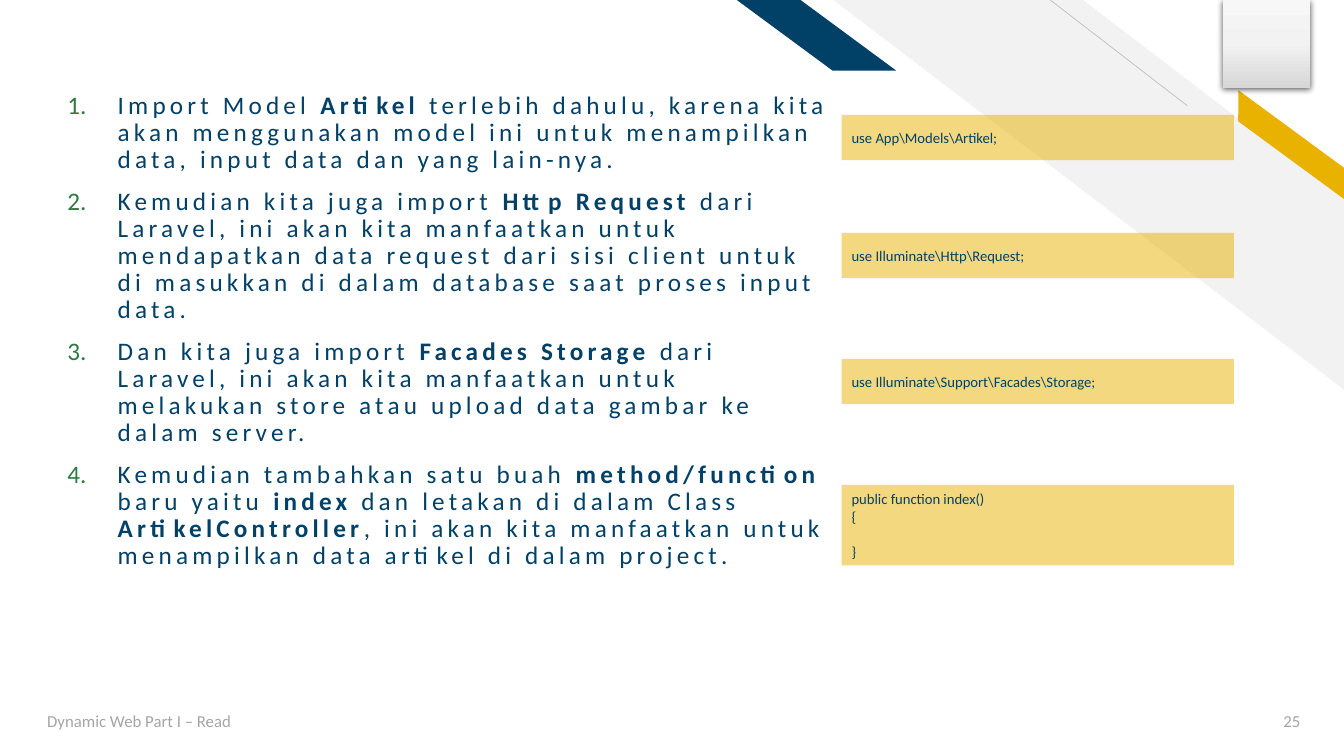
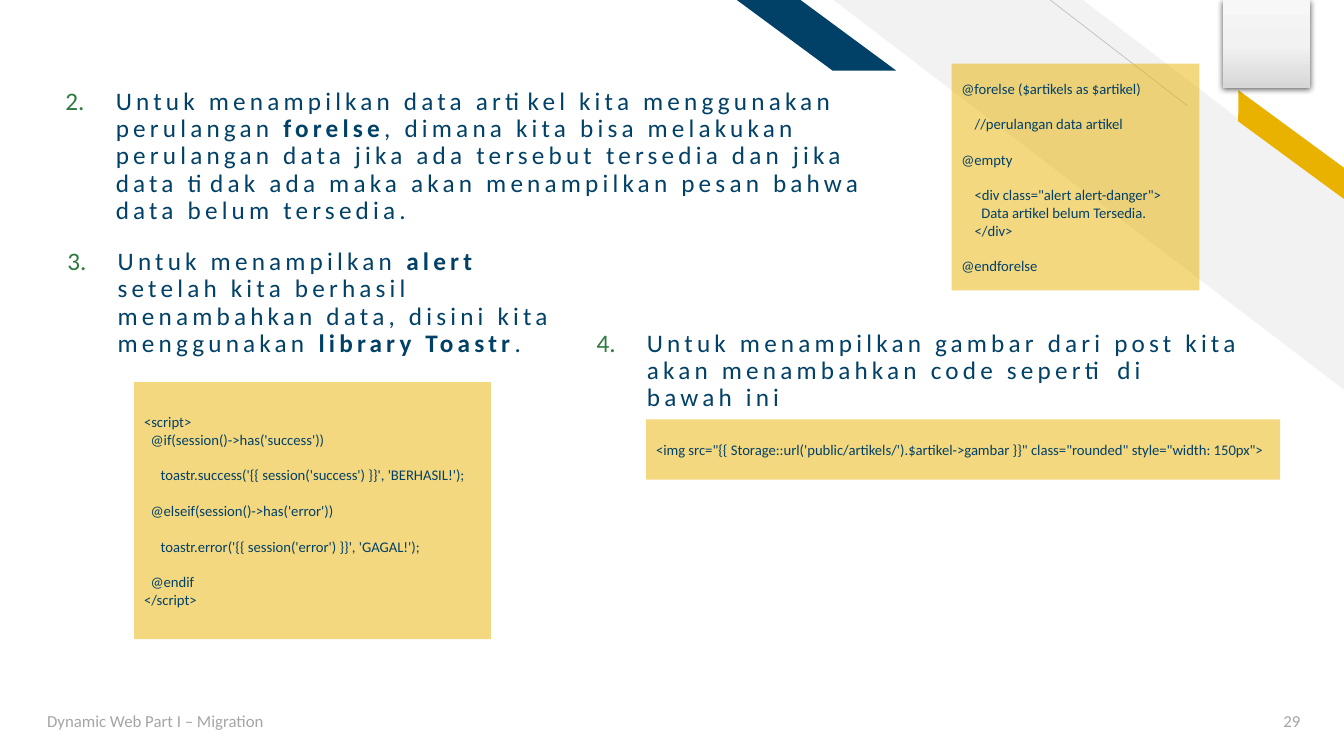
from copy import deepcopy

from lxml import etree
from pptx import Presentation
from pptx.dml.color import RGBColor
from pptx.enum import shapes, text
from pptx.oxml.ns import qn
from pptx.util import Pt

NAVY, GOLD, GREEN = "014067", "EAB200", "2E7A40"
PALE, RULE, FOOTER = "F2F2F2", "BFBFBF", "A5A5A5"
FONT = "Calibri"
CODE_SIZE, CODE_LINE, CODE_SPACE = 10.5, 12.8, 2.37
FORM = shapes.MSO_SHAPE

FORELSE = """@forelse ($artikels as $artikel)

    //perulangan data artikel

@empty

    <div class="alert alert-danger">
      Data artikel belum Tersedia.
    </div>

@endforelse"""

TOASTR = """<script>
  @if(session()->has('success'))

     toastr.success('{{ session('success') }}', 'BERHASIL!');

  @elseif(session()->has('error'))

     toastr.error('{{ session('error') }}', 'GAGAL!');

  @endif
</script>"""

IMAGE = """<img src="{{ Storage::url('public/artikels/').$artikel->gambar }}" class="rounded" style="width: 150px">"""

pages = [
    {
        "footer": "Dynamic Web Part I – Read",
        "number": "25",
        "steps": [
            (1, (41, 62.6, 560.9, 455.8), [
                "Import Model *Artikel *terlebih dahulu, karena kita akan menggunakan model ini "
                "untuk menampilkan data, input data dan yang lain-nya.",
                "Kemudian kita juga import *Http Request* dari Laravel, ini akan kita manfaatkan "
                "untuk mendapatkan data request dari sisi client untuk di masukkan di dalam "
                "database saat proses input data.",
                "Dan kita juga import *Facades Storage *dari Laravel, ini akan kita manfaatkan "
                "untuk melakukan store atau upload data gambar ke dalam server.",
                "Kemudian tambahkan satu buah *method/function *baru yaitu *index *dan letakan "
                "di dalam Class *ArtikelController*, ini akan kita manfaatkan untuk menampilkan "
                "data artikel di dalam project.",
            ]),
        ],
        "codes": [
            ((601.2, 82.1, 280.1, 32.4), r"use App\Models\Artikel;"),
            ((601.2, 166.3, 280.1, 32.4), r"use Illuminate\Http\Request;"),
            ((601.2, 256.3, 280.1, 32.4), r"use Illuminate\Support\Facades\Storage;"),
            ((601.2, 346.3, 280.1, 57.6), "public function index()\n{\n\n}"),
        ],
    },
    {
        "footer": "Dynamic Web Part I – Migration",
        "number": "29",
        "steps": [
            (2, (39.6, 59.8, 622.8, 105.8), [
                "Untuk menampilkan data artikel kita menggunakan perulangan *forelse*, dimana "
                "kita bisa melakukan perulangan data jika ada tersebut tersedia dan jika data "
                "tidak ada maka akan menampilkan pesan bahwa data belum tersedia.",
            ]),
            (3, (41, 174.2, 370.1, 89.3), [
                "Untuk menampilkan *alert *setelah kita berhasil menambahkan data, disini kita "
                "menggunakan *library Toastr*.",
            ]),
            (4, (419, 232.6, 475.9, 67), [
                "Untuk menampilkan gambar dari post kita akan menambahkan code seperti di bawah ini",
            ]),
        ],
        "codes": [
            ((679.7, 45.4, 177.1, 162), FORELSE),
            ((95.8, 272.9, 254.9, 183.6), TOASTR),
            ((461.5, 299.5, 452.9, 43.2), IMAGE),
        ],
    },
]


def add_block(slide, form, box, color):
    block = slide.shapes.add_shape(form, *map(Pt, box))
    block.shadow.inherit = False
    block.fill.solid()
    block.fill.fore_color.rgb = RGBColor.from_string(color)
    block.line.fill.background()
    return block


def add_words(paragraph, words, size, color):
    run = paragraph.add_run()
    run.text = words
    run.font.name = FONT
    run.font.size = Pt(size)
    run.font.color.rgb = RGBColor.from_string(color)
    return run


deck = Presentation()
deck.slide_width, deck.slide_height = Pt(960), Pt(540)

for page in pages:
    slide = deck.slides.add_slide(deck.slide_layouts[6])

    for form, box, adjust, turn, color in [
        (FORM.DIAGONAL_STRIPE, (595.4, 0, 365, 278.6), 0.512, 0, PALE),
        (FORM.PARALLELOGRAM, (869, 94.3, 106.6, 18), 0.72, 36.3, GOLD),
        (FORM.PARALLELOGRAM, (526.3, 0, 113.8, 50.4), 1.356, 0, NAVY),
    ]:
        band = add_block(slide, form, box, color)
        band.adjustments[0] = adjust
        band.rotation = turn
        band.element.spPr.xfrm.set("flipH", "1")

    hairline = slide.shapes.add_connector(
        shapes.MSO_CONNECTOR.STRAIGHT, Pt(848.2), Pt(75.6), Pt(750.2), Pt(0))
    hairline.line.color.rgb = RGBColor.from_string(RULE)
    hairline.line.width = Pt(0.5)
    etree.SubElement(hairline.element.spPr, qn("a:effectLst"))

    for label, box, align in [
        (page["footer"], (26.6, 500.4, 324, 28.8), text.PP_ALIGN.LEFT),
        (page["number"], (877.7, 500.4, 58.3, 28.8), text.PP_ALIGN.RIGHT),
    ]:
        frame = slide.shapes.add_textbox(*map(Pt, box)).text_frame
        frame.word_wrap = True
        frame.vertical_anchor = text.MSO_ANCHOR.MIDDLE
        frame.paragraphs[0].alignment = align
        add_words(frame.paragraphs[0], label, 12, FOOTER)

    badge = add_block(slide, FORM.RECTANGLE, (873.4, 0, 62.6, 62.6), PALE)
    badge.fill.gradient()
    badge.fill.gradient_angle = 270
    stops = badge.element.spPr.find(".//" + qn("a:gsLst"))
    stops.insert(1, deepcopy(stops[0]))
    for stop, (position, color) in zip(
            badge.fill.gradient_stops, [(0, "F7F7F7"), (0.5, PALE), (1, "D7D7D7")]):
        stop.position = position
        stop.color.rgb = RGBColor.from_string(color)
    shadow = etree.SubElement(
        badge.element.spPr.find(qn("a:effectLst")), qn("a:outerShdw"),
        blurRad=str(Pt(4.5)), dist=str(Pt(1.5)), dir="5400000", algn="t", rotWithShape="0")
    shade = etree.SubElement(shadow, qn("a:srgbClr"), val="000000")
    etree.SubElement(shade, qn("a:alpha"), val="63000")

    for start, box, steps in page["steps"]:
        frame = slide.shapes.add_textbox(*map(Pt, box)).text_frame
        frame.word_wrap = True
        for index, step in enumerate(steps):
            paragraph = frame.add_paragraph() if index else frame.paragraphs[0]
            paragraph.line_spacing = 0.9
            paragraph.space_before = Pt(10)
            props = paragraph._p.get_or_add_pPr()
            props.set("marL", str(Pt(36)))
            props.set("indent", str(Pt(-36)))
            tint = etree.SubElement(props, qn("a:buClr"))
            etree.SubElement(tint, qn("a:srgbClr"), val=GREEN)
            etree.SubElement(props, qn("a:buFont"), typeface=FONT)
            etree.SubElement(props, qn("a:buAutoNum"), type="arabicPeriod", startAt=str(start))
            for part, words in enumerate(step.split("*")):
                run = add_words(paragraph, words, 18, NAVY)
                run.font.bold = part % 2 == 1
                run.font._element.set("spc", "300")

    for box, code in page["codes"]:
        panel = add_block(slide, FORM.RECTANGLE, box, GOLD)
        tint = panel.element.spPr.find(".//" + qn("a:srgbClr"))
        etree.SubElement(tint, qn("a:alpha"), val="50000")
        frame = panel.text_frame
        frame.word_wrap = True
        frame.vertical_anchor = text.MSO_ANCHOR.MIDDLE
        gap = 0
        for index, line in enumerate(code.split("\n")):
            words = line.lstrip()
            if not words:
                gap += CODE_LINE
                continue
            paragraph = frame.add_paragraph() if index else frame.paragraphs[0]
            paragraph.alignment = text.PP_ALIGN.LEFT
            paragraph.space_before = Pt(gap)
            indent = Pt((len(line) - len(words)) * CODE_SPACE)
            paragraph._p.get_or_add_pPr().set("marL", str(indent))
            add_words(paragraph, words, CODE_SIZE, NAVY)
            gap = 0

deck.save("out.pptx")
